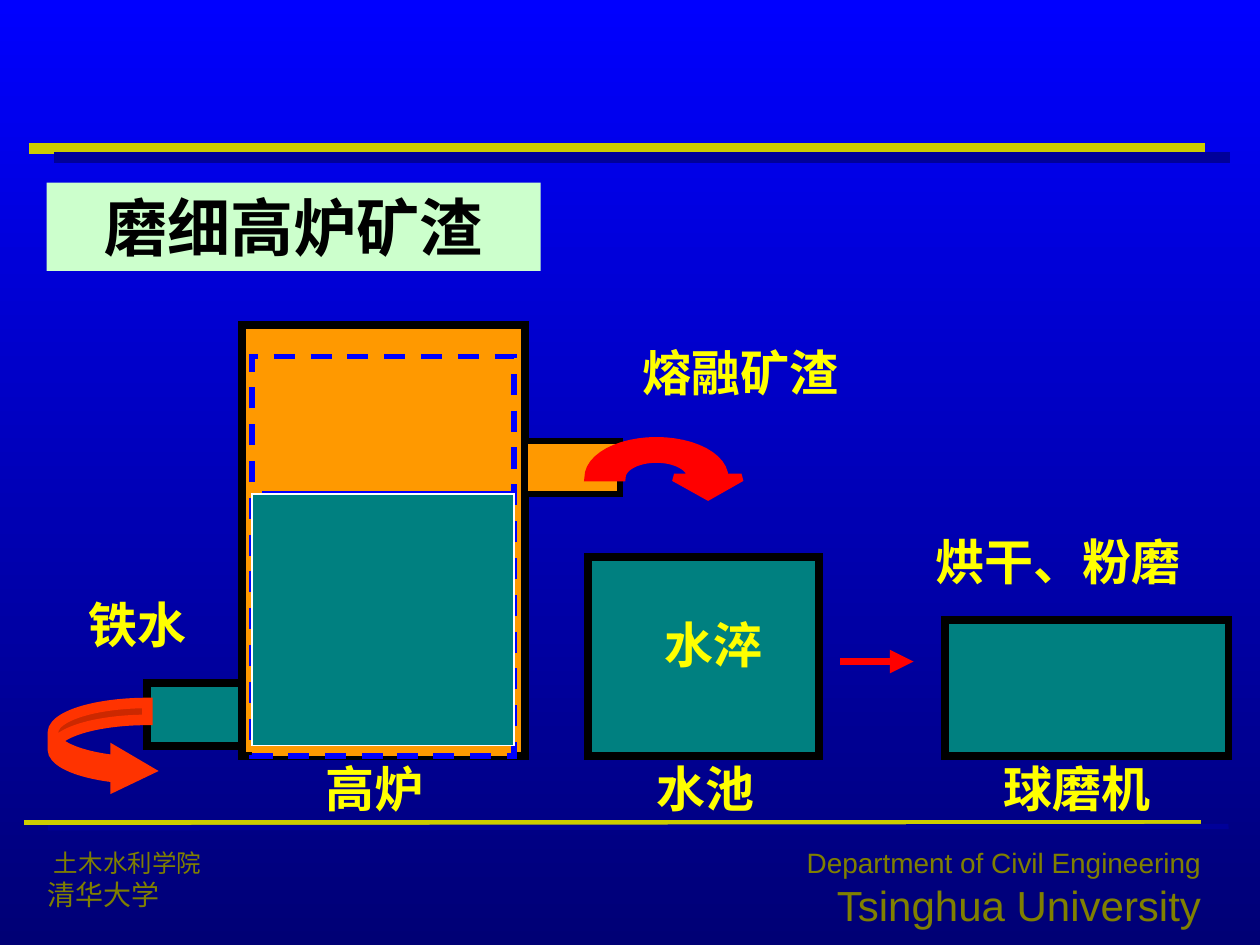
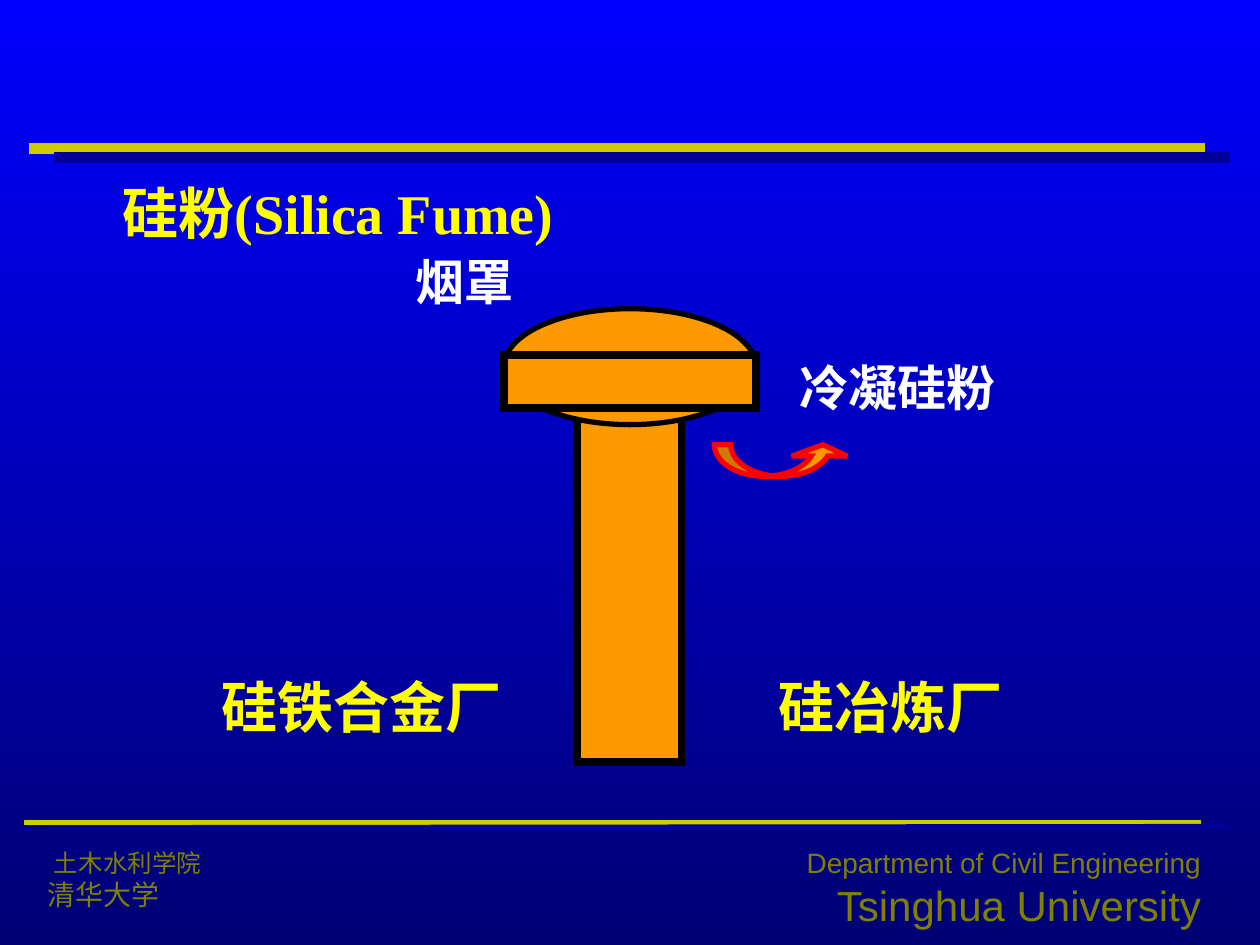
import math

from lxml import etree
from pptx import Presentation
from pptx.dml.color import RGBColor
from pptx.enum.dml import MSO_LINE
from pptx.enum.shapes import MSO_CONNECTOR, MSO_SHAPE
from pptx.enum.text import MSO_ANCHOR, PP_ALIGN
from pptx.oxml.ns import qn
from pptx.util import Inches, Pt

RECT, OVAL = MSO_SHAPE.RECTANGLE, MSO_SHAPE.OVAL
CURVED_RIGHT, CURVED_UP = MSO_SHAPE.CURVED_RIGHT_ARROW, MSO_SHAPE.CURVED_UP_ARROW
STRAIGHT, DASH = MSO_CONNECTOR.STRAIGHT, MSO_LINE.DASH
LEFT, CENTER, RIGHT = PP_ALIGN.LEFT, PP_ALIGN.CENTER, PP_ALIGN.RIGHT
TOP, MIDDLE = MSO_ANCHOR.TOP, MSO_ANCHOR.MIDDLE

BODY_FONT, FOOTER_FONT = "Times New Roman", "Arial"
BLACK, WHITE, YELLOW = "000000", "FFFFFF", "FFFF00"
BLUE, DEEP_BLUE, SHADE_BLUE = "0000FF", "000075", "000099"
GOLD, OLIVE, MINT = "CCCC00", "808000", "CCFFCC"
ORANGE, TEAL, RED, HOT_IRON = "FF9900", "008080", "FF0000", "FF3300"


def rgb(hex_color):
    return RGBColor.from_string(hex_color)


def paint(sp, fill, line=None, width=0.0, dash=None):
    """Give a shape its fill and a sharp-cornered outline."""
    sp.shadow.inherit = False
    sp.fill.solid()
    sp.fill.fore_color.rgb = rgb(fill)
    if line is None:
        sp.line.fill.background()
        return
    sp.line.color.rgb = rgb(line)
    sp.line.width = Pt(width)
    if dash:
        sp.line.dash_style = dash
    ln = sp.line._ln
    etree.SubElement(ln, qn("a:miter"), lim="800000")


def add_block(s, box, fill, line=None, width=4.5, dash=None, kind=RECT):
    sp = s.shapes.add_shape(kind, *map(Inches, box))
    paint(sp, fill, line, width, dash)
    return sp


def add_curved_arrow(s, kind, box, adjustments, fill, line, width):
    sp = add_block(s, box, fill, line, width, kind=kind)
    for i, value in enumerate(adjustments):
        sp.adjustments[i] = value


def add_line(s, start, end, color, width, arrow=False):
    cn = s.shapes.add_connector(STRAIGHT, *map(Inches, start + end))
    cn.line.color.rgb = rgb(color)
    cn.line.width = Pt(width)
    if arrow:
        etree.SubElement(cn.line._ln, qn("a:tailEnd"), type="triangle")
    etree.SubElement(cn._element.spPr, qn("a:effectLst"))


def write(sp, lines, align, color, font, bold=False, anchor=TOP):
    """Fill a shape with (text, size) paragraphs."""
    tf = sp.text_frame
    tf.word_wrap = True
    tf.vertical_anchor = anchor
    for i, (text, size) in enumerate(lines):
        p = tf.paragraphs[0] if i == 0 else tf.add_paragraph()
        p.text = text
        p.alignment = align
        p.font.size = Pt(size)
        p.font.name = font
        p.font.bold = bold
        p.font.color.rgb = rgb(color)
    return tf


def add_label(s, text, box, align=LEFT, size=28, color=YELLOW):
    sp = s.shapes.add_textbox(*map(Inches, box))
    write(sp, [(text, size)], align, color, BODY_FONT, bold=True)


def add_footer(s, box, lines, align):
    sp = s.shapes.add_textbox(*map(Inches, box))
    return write(sp, lines, align, OLIVE, FOOTER_FONT, anchor=MIDDLE)


def add_framed_slide(prs):
    """Add a slide with the gradient, the two rules and the footers."""
    s = prs.slides.add_slide(prs.slide_layouts[6])
    fill = s.background.fill
    fill.gradient()
    fill.gradient_angle = 270
    for stop, color, position in zip(fill.gradient_stops, (BLUE, DEEP_BLUE), (0, 1)):
        stop.color.rgb = rgb(color)
        stop.position = position

    add_line(s, (0.23, 1.18), (9.56, 1.18), GOLD, 6)
    add_line(s, (0.43, 1.25), (9.76, 1.25), SHADE_BLUE, 6)
    tf = add_footer(s, (0.28, 6.68, 3.98, 0.6),
                    [("土木水利学院", 14), ("清华大学", 16)], LEFT)
    tf.paragraphs[0]._p.get_or_add_pPr().set("marL", str(Inches(0.05)))
    add_line(s, (0.19, 6.53), (9.53, 6.53), GOLD, 3)
    add_line(s, (0.38, 6.57), (9.75, 6.56), SHADE_BLUE, 3)
    add_footer(s, (5.65, 6.66, 3.98, 0.77),
               [("Department of Civil Engineering", 16), ("Tsinghua University", 24)], RIGHT)
    return s


def add_pouring_arrow(s, x, y, w, h):
    """Draw a half-ring that bends over to the right and ends in a downward head."""
    rx, ry = w / 2, h / 2
    cx, cy = x + rx, y + ry
    steps = 24

    def half_ellipse(scale, angles):
        return [(cx + scale * rx * math.cos(a), cy - scale * ry * math.sin(a)) for a in angles]

    angles = [math.pi * i / steps for i in range(steps + 1)]
    inner = half_ellipse(0.51, angles)
    outer = half_ellipse(1, reversed(angles))
    head = [(cx + 1.25 * rx, cy), (cx + 0.76 * rx, cy + 0.15), (cx + 0.26 * rx, cy)]
    points = [(Inches(px), Inches(py)) for px, py in inner + outer + head]
    builder = s.shapes.build_freeform(*points[0], scale=1.0)
    builder.add_line_segments(points[1:], close=True)
    paint(builder.convert_to_shape(), RED, RED, 4.5)


def add_furnace(s, x, y, w, h):
    """Draw the furnace with its lining, melt, iron outlet and slag outlet."""
    bottom, right = y + h, x + w
    lining_x, lining_w = x + 0.08, w - 0.17
    melt_y = y + 1.34
    add_block(s, (x, y, w, h), ORANGE, BLACK)
    add_block(s, (lining_x, y + 0.25, lining_w, h - 0.25), ORANGE, BLUE, 3, DASH)
    add_block(s, (x - 0.75, bottom - 0.58, 0.75, 0.5), TEAL, BLACK)
    add_block(s, (right, melt_y - 0.42, 0.75, 0.42), ORANGE, BLACK, 3)
    add_line(s, (lining_x + 0.08, melt_y), (lining_x + lining_w, melt_y), BLUE, 3)
    add_block(s, (lining_x, melt_y, lining_w, 2), TEAL, WHITE, 0.75)

    add_label(s, "铁水", (0, bottom - 1.33, 1.58, 0.57), RIGHT)
    add_curved_arrow(s, CURVED_RIGHT, (x - 1.5, bottom - 0.42, 0.75, 0.67),
                     (0.2, 0.4, 0.375), HOT_IRON, HOT_IRON, 6)
    add_label(s, "熔融矿渣", (right + 0.83, y + 0.09, 2.08, 0.57))
    add_label(s, "高炉", (x + 0.14, bottom - 0.03, 1.83, 0.57), CENTER)
    add_pouring_arrow(s, right + 0.5, melt_y - 0.42, 1.08, 0.58)


def add_water_pool(s, x, y, w, h):
    add_block(s, (x, y, w, h), TEAL, BLACK)
    add_label(s, "水池", (x + 0.14, y + h - 0.03, 1.58, 0.57), CENTER)
    quench = add_block(s, (x + 0.33, y + 0.41, 1.33, 0.57), TEAL)
    write(quench, [("水淬", 28)], CENTER, YELLOW, BODY_FONT, bold=True)
    add_line(s, (x + w + 0.17, y + 0.83), (x + w + 0.75, y + 0.83), RED, 4.5, arrow=True)


def add_ball_mill(s, x, y, w, h):
    add_label(s, "烘干、粉磨", (x - 0.17, y - 0.75, 2.67, 0.57))
    add_block(s, (x, y, w, h), TEAL, BLACK)
    add_label(s, "球磨机", (x + 0.37, y + h - 0.03, 1.67, 0.57))


def add_chimney(s, x, y, w, h):
    """Draw the stack with its hood centred on top and the fume leaving it."""
    middle = x + w / 2
    hood_w = 2
    hood_x = middle - hood_w / 2
    add_block(s, (middle - 0.42, y + 0.18, 0.83, h - 0.18), ORANGE, BLACK)
    add_block(s, (hood_x, y, hood_w, 0.92), ORANGE, BLACK, 3, kind=OVAL)
    add_block(s, (hood_x, y + 0.37, hood_w, 0.42), ORANGE, BLACK)
    add_curved_arrow(s, CURVED_UP, (middle + 0.67, y + 1.08, 1.08, 0.25),
                     (0.52, 1.76, 0.36), ORANGE, RED, 3)
    add_label(s, "烟罩", (hood_x - 1.33, y - 0.5, 1.5, 0.57), RIGHT, color=WHITE)
    add_label(s, "冷凝硅粉", (hood_x + hood_w + 0.25, y + 0.34, 2.33, 0.57), color=WHITE)


def build_slag_slide(prs):
    s = add_framed_slide(prs)
    title = add_block(s, (0.37, 1.45, 3.92, 0.7), MINT)
    write(title, [("磨细高炉矿渣", 36)], CENTER, BLACK, BODY_FONT, bold=True)
    add_furnace(s, 1.92, 2.58, 2.25, 3.42)
    add_water_pool(s, 4.67, 4.42, 1.83, 1.58)
    add_ball_mill(s, 7.5, 4.92, 2.25, 1.08)


def build_silica_fume_slide(prs):
    s = add_framed_slide(prs)
    add_label(s, "硅粉(Silica Fume)", (0.28, 1.37, 4.81, 0.64), CENTER, 32)
    add_chimney(s, 4, 2.45, 2, 3.6)
    add_label(s, "硅铁合金厂", (0.25, 5.29, 3.83, 0.64), RIGHT, 32)
    add_label(s, "硅冶炼厂", (6.08, 5.29, 2.83, 0.64), LEFT, 32)


def main():
    prs = Presentation()
    prs.slide_width, prs.slide_height = Inches(10), Inches(7.5)
    build_slag_slide(prs)
    build_silica_fume_slide(prs)
    prs.save("out.pptx")


if __name__ == "__main__":
    main()
